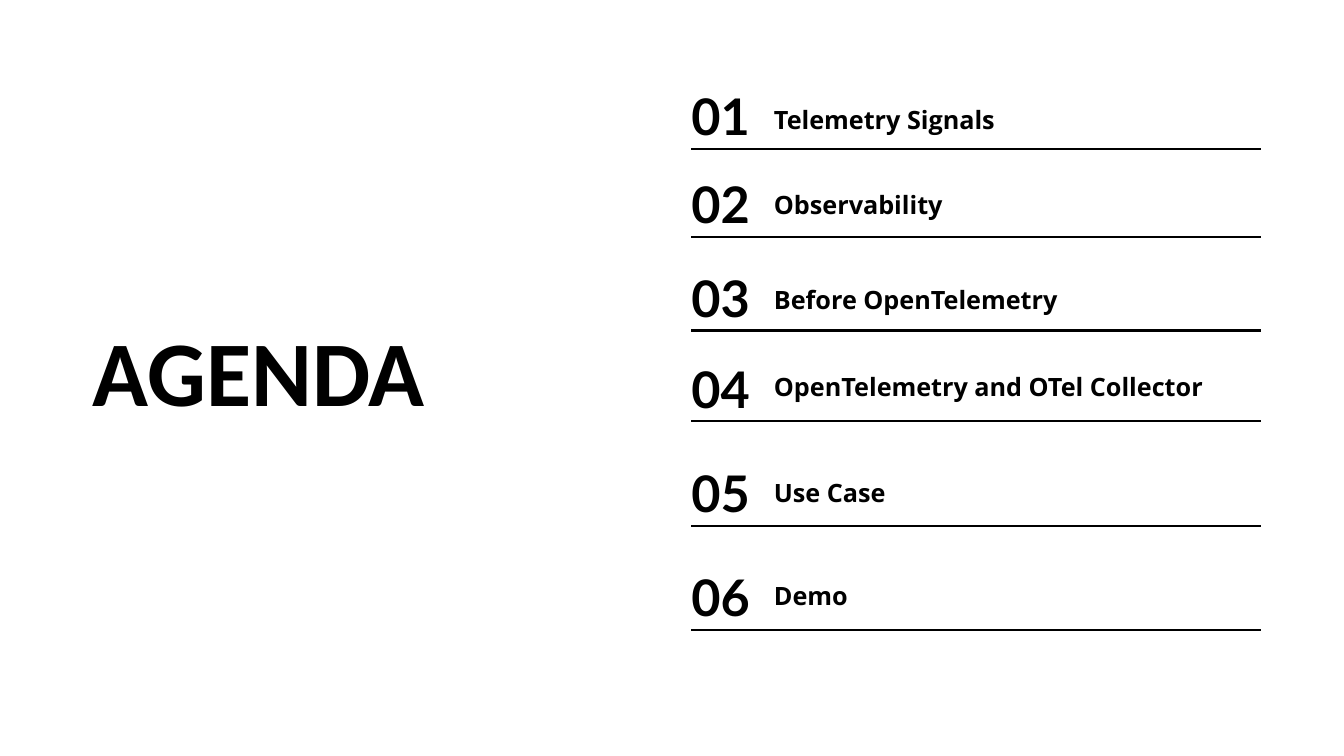
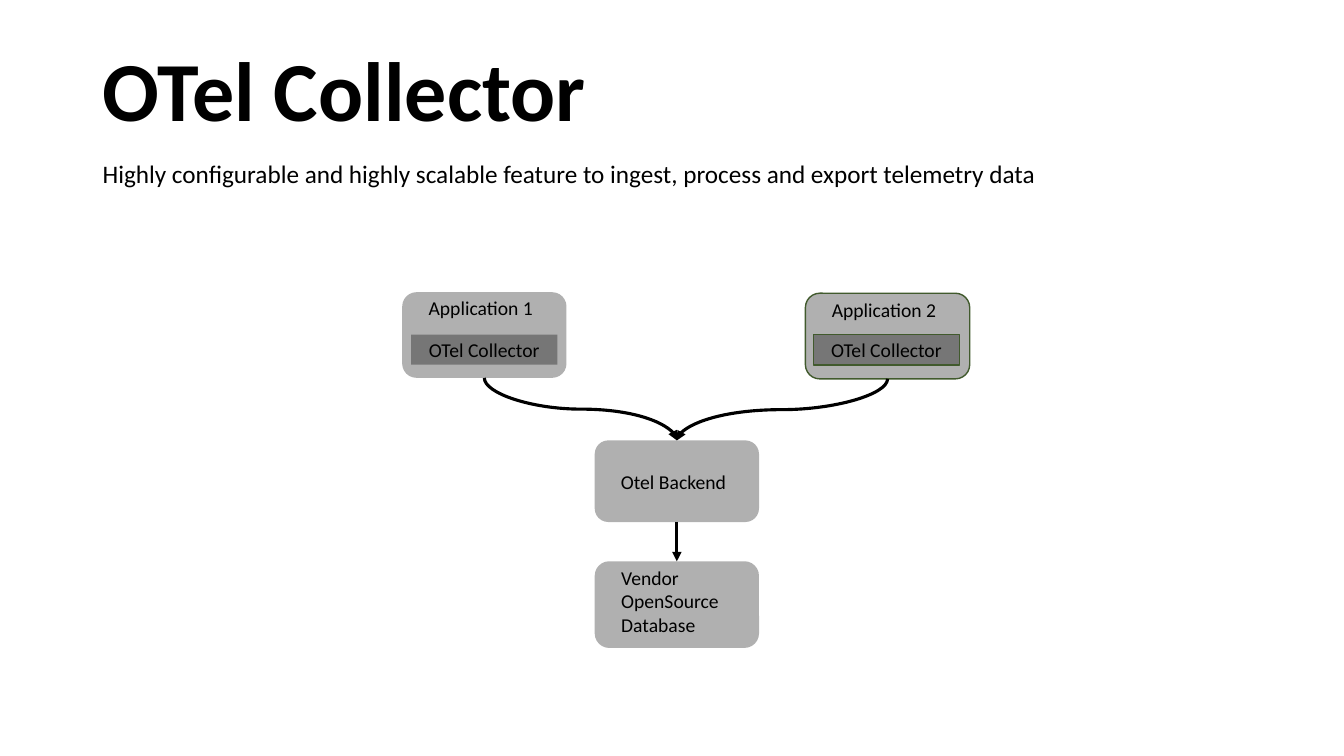
from dataclasses import dataclass

from lxml import etree
from pptx import Presentation
from pptx.dml.color import RGBColor
from pptx.enum.shapes import MSO_CONNECTOR, MSO_SHAPE
from pptx.enum.text import MSO_ANCHOR, MSO_AUTO_SIZE, PP_ALIGN
from pptx.oxml.ns import qn
from pptx.util import Emu, Inches, Pt

STRAIGHT, CURVE = MSO_CONNECTOR.STRAIGHT, MSO_CONNECTOR.CURVE
ROUNDED, RECTANGLE = MSO_SHAPE.ROUNDED_RECTANGLE, MSO_SHAPE.RECTANGLE
TOP, MIDDLE = MSO_ANCHOR.TOP, MSO_ANCHOR.MIDDLE
LEFT, CENTER = PP_ALIGN.LEFT, PP_ALIGN.CENTER
TOP_SIDE, BOTTOM_SIDE = 0, 2


@dataclass(frozen=True)
class Theme:
    ink: RGBColor = RGBColor(0, 0, 0)
    box: RGBColor = RGBColor(0xB0, 0xB0, 0xB0)
    inset: RGBColor = RGBColor(0x76, 0x76, 0x76)
    border: RGBColor = RGBColor(0x41, 0x5A, 0x2D)
    font: str = "Calibri"
    label_font: str = "Open Sans"
    number_font: str = "Lato"
    agenda_title: int = 66
    title: int = 60
    number: int = 36
    body: int = 18
    diagram: int = 14
    rule: float = 1.5
    arrow: float = 2.25
    outline: float = 1.25


THEME = Theme()

deck = Presentation()
deck.slide_width, deck.slide_height = Inches(13.33), Inches(7.5)
COLUMNS = 80  # square cells: 80 columns by 45 rows
CELL = deck.slide_width / COLUMNS


def cells(*counts):
    """Turn counts of grid cells into lengths."""
    return [Emu(round(count * CELL)) for count in counts]


def write(shape, text, size, font=THEME.font, bold=False, align=LEFT, anchor=TOP):
    frame = shape.text_frame
    frame.word_wrap, frame.auto_size = True, MSO_AUTO_SIZE.NONE
    frame.vertical_anchor = anchor
    frame.text = text
    para = frame.paragraphs[0]
    para.alignment = align
    para.font.name, para.font.size, para.font.bold = font, Pt(size), bold
    para.font.color.rgb = THEME.ink
    return para


# Pages with their titles
pages = []
for text, size, area in (
    ("AGENDA", THEME.agenda_title, (4.92, 13.92, 28.6, 16.15)),
    ("OTel Collector", THEME.title, (5.52, 1.92, 65.34, 6.66)),
):
    page = deck.slides.add_slide(deck.slide_layouts[5])
    title = page.shapes.title
    title.left, title.top, title.width, title.height = cells(*area)
    write(title, text, size, bold=True, anchor=MIDDLE)
    pages.append(page)
agenda, collector = (page.shapes for page in pages)

# Agenda: a number, a label and a rule for each topic
NUMBER_X, LABEL_X, RULE_END = 41.16, 45.48, 75.06
TOPICS = (  # name, top of label, height of rule
    ("Telemetry Signals", 5.64, 8.88),
    ("Observability", 10.74, 14.1),
    ("Before OpenTelemetry", 16.38, 19.68),
    ("OpenTelemetry and OTel Collector", 21.54, 25.08),
    ("Use Case", 27.84, 31.32),
    ("Demo", 34.02, 37.5),
)
for index, (name, label_top, rule_y) in enumerate(TOPICS, start=1):
    number = agenda.add_textbox(*cells(NUMBER_X, rule_y - 3.1, 5.16, 4))
    para = write(number, f"{index:02}", THEME.number, THEME.number_font, bold=True)
    para.line_spacing = 0.7
    number.text_frame.margin_left = 0
    span = para.runs[0]
    span.font.fill.background()
    outline = etree.Element(qn("a:ln"), w=str(Pt(THEME.outline)))
    fill = etree.SubElement(outline, qn("a:solidFill"))
    etree.SubElement(fill, qn("a:srgbClr"), val=str(THEME.ink))
    span.font._element.insert(0, outline)

    label = agenda.add_textbox(*cells(LABEL_X, label_top, 27.3, 2.6))
    para = write(label, name, THEME.body, THEME.label_font, bold=True)
    para.line_spacing = Pt(24.8)

    rule = agenda.add_connector(STRAIGHT, *cells(NUMBER_X, rule_y, RULE_END, rule_y))
    rule.line.width = Pt(THEME.rule)

# Collector: subtitle and diagram
subtitle = collector.add_textbox(*cells(5.52, 9.12, 60, 4.26))
write(
    subtitle,
    "Highly configurable and highly scalable feature to ingest, process and export telemetry data",
    THEME.body,
)

APP_1, APP_2 = (23.94, 17.4), (47.94, 17.46)
BOX_WIDTH, INSET_Y = 9.78, 19.92
BOXES = (  # shape, text, area, fill, border width, alignment, anchor
    (ROUNDED, "Application 1", (*APP_1, BOX_WIDTH, 5.1), THEME.box, 0, LEFT, TOP),
    (RECTANGLE, "OTel Collector", (24.48, INSET_Y, 8.7, 1.8), THEME.inset, 0, CENTER, MIDDLE),
    (ROUNDED, "Application 2", (*APP_2, BOX_WIDTH, 5.1), THEME.box, 1, LEFT, TOP),
    (RECTANGLE, "OTel Collector", (48.42, INSET_Y, 8.7, 1.8), THEME.inset, 1.25, CENTER, MIDDLE),
    (ROUNDED, "Otel Backend", (35.4, 26.22, BOX_WIDTH, 4.86), THEME.box, 0, LEFT, MIDDLE),
    (ROUNDED, "Vendor OpenSource Database", (35.4, 33.42, BOX_WIDTH, 5.16), THEME.box, 0, LEFT, TOP),
)
boxes = []
for kind, text, area, color, border, align, anchor in BOXES:
    box = collector.add_shape(kind, *cells(*area))
    box.shadow.inherit = False
    box.fill.solid()
    box.fill.fore_color.rgb = color
    if border:
        box.line.color.rgb, box.line.width = THEME.border, Pt(border)
    else:
        box.line.fill.background()
    write(box, text, THEME.diagram, align=align, anchor=anchor)
    frame = box.text_frame
    frame.margin_top = frame.margin_bottom = 0
    if kind == ROUNDED:
        frame.margin_left, frame.margin_right = cells(1.32, 1.32)
    boxes.append(box)
app_1, _, app_2, _, backend, storage = boxes

for kind, source, target in (
    (CURVE, app_1, backend),
    (CURVE, app_2, backend),
    (STRAIGHT, backend, storage),
):
    arrow = collector.add_connector(kind, 0, 0, 0, 0)
    arrow.begin_connect(source, BOTTOM_SIDE)
    arrow.end_connect(target, TOP_SIDE)
    arrow.line.width = Pt(THEME.arrow)
    etree.SubElement(arrow.line._get_or_add_ln(), qn("a:tailEnd"), type="triangle")
    if kind == CURVE:  # turned a quarter so that it leaves and arrives vertically
        rightward = arrow.end_x > arrow.begin_x
        across, down = arrow.width, arrow.height
        shift = (across - down) // 2
        arrow.left, arrow.top = arrow.left + shift, arrow.top - shift
        arrow.width, arrow.height = down, across
        frame = arrow._element.spPr.find(qn("a:xfrm"))
        frame.set("rot", str((270 if rightward else 90) * 60000))
        frame.set("flipH", "1" if rightward else "0")

# All rules and arrows share one colour and have no shadow
for page in pages:
    for shape in page.shapes:
        if shape.shape_type is not None and hasattr(shape, "begin_x"):
            shape.line.color.rgb = THEME.ink
            etree.SubElement(shape._element.spPr, qn("a:effectLst"))

deck.save("out.pptx")
